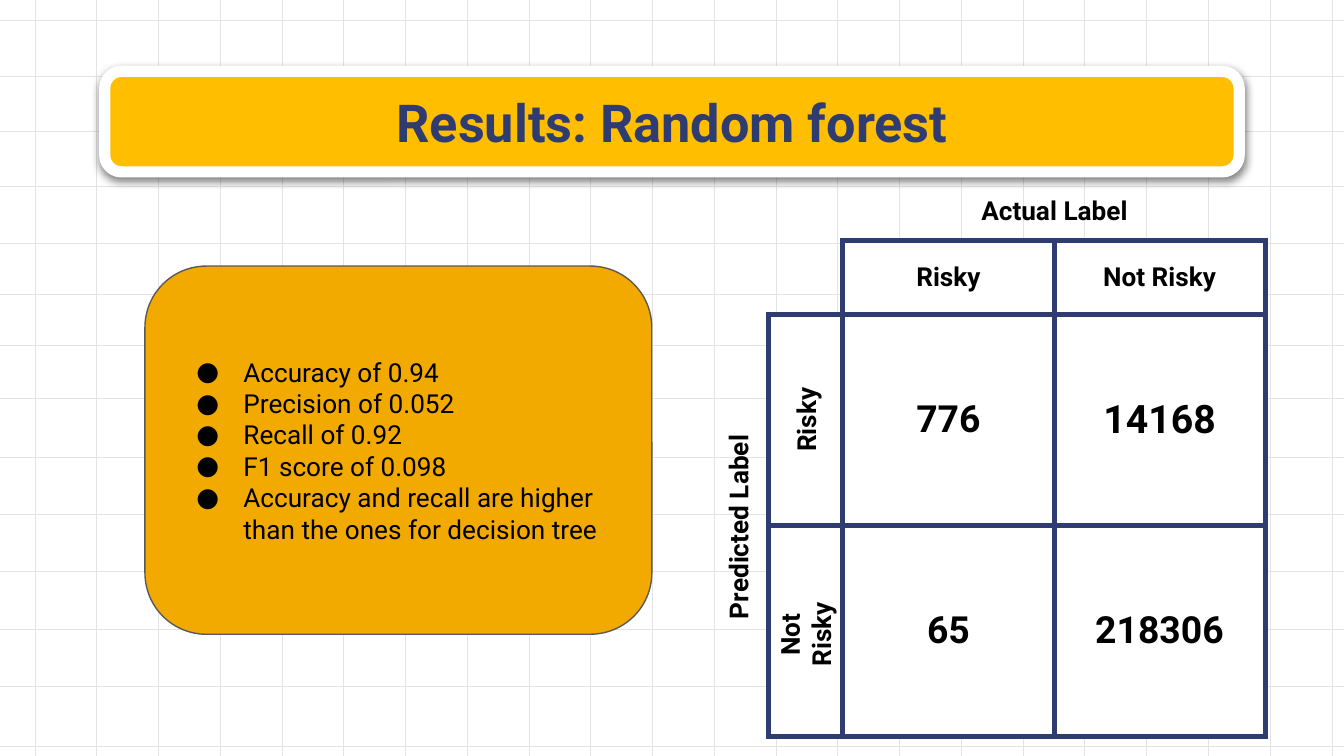
import dataclasses

import lxml.etree
import pptx
import pptx.dml.color
import pptx.enum.shapes
import pptx.enum.text
import pptx.oxml.ns
import pptx.util

Cm, Pt = pptx.util.Cm, pptx.util.Pt
RGB = pptx.dml.color.RGBColor.from_string
qn = pptx.oxml.ns.qn
ALIGN = pptx.enum.text.PP_ALIGN
ANCHOR = pptx.enum.text.MSO_ANCHOR


@dataclasses.dataclass(frozen=True)
class Theme:
    font: str = "Roboto"
    navy: str = "2F3C72"
    yellow: str = "FFBE00"
    amber: str = "F2A900"
    white: str = "FFFFFF"
    black: str = "000000"
    outline: str = "595959"
    grid: str = "E3E3E3"
    title_size: float = 28
    large_size: float = 21
    value_size: float = 20
    text_size: float = 14
    inset: float = 0.25


THEME = Theme()


def add_xml(parent, tag, **attrs):
    return lxml.etree.SubElement(parent, qn(tag), {k: str(v) for k, v in attrs.items()})


def put_text(tf, text, size=THEME.text_size, color=THEME.black, bold=True,
             align=ALIGN.CENTER, anchor=ANCHOR.MIDDLE):
    """Fill a text frame, one paragraph for each line of text."""
    tf.word_wrap = True
    tf.auto_size = pptx.enum.text.MSO_AUTO_SIZE.NONE
    tf.vertical_anchor = anchor
    tf.margin_left = tf.margin_right = tf.margin_top = tf.margin_bottom = Cm(THEME.inset)
    for i, line in enumerate(text.split("\n")):
        p = tf.add_paragraph() if i else tf.paragraphs[0]
        p.alignment = align
        p.line_spacing, p.space_before = 1.0, Pt(0)
        r = p.add_run()
        r.text = line
        r.font.name, r.font.size, r.font.bold = THEME.font, Pt(size), bold
        r.font.color.rgb = RGB(color)


class Deck:
    """Holds the theme and the slide being drawn."""

    def __init__(self, prs, theme):
        self.theme = theme
        self.slide = prs.slides.add_slide(prs.slide_layouts[1])
        self.shapes = self.slide.shapes

    def line(self, x1, y1, x2, y2):
        c = self.shapes.add_connector(pptx.enum.shapes.MSO_CONNECTOR.STRAIGHT,
                                      Cm(x1), Cm(y1), Cm(x2), Cm(y2))
        c.line.color.rgb, c.line.width = RGB(self.theme.grid), Pt(0.35)
        add_xml(c.element.spPr, "a:effectLst")

    def panel(self, x, y, w, h, fill, line, width):
        sp = self.shapes.add_shape(pptx.enum.shapes.MSO_SHAPE.ROUNDED_RECTANGLE,
                                   Cm(x), Cm(y), Cm(w), Cm(h))
        sp.fill.solid()
        sp.fill.fore_color.rgb = RGB(fill)
        sp.line.color.rgb, sp.line.width = RGB(line), Pt(width)
        sp.shadow.inherit = False
        return sp

    def drop_shadow(self, sp):
        effects = sp.element.spPr.find(qn("a:effectLst"))
        shadow = add_xml(effects, "a:outerShdw", blurRad=Pt(4.5), dist=Pt(1.5),
                         dir=5400000, algn="bl", rotWithShape=0)
        color = add_xml(shadow, "a:srgbClr", val=self.theme.black)
        add_xml(color, "a:alpha", val=50000)

    def placeholder(self, idx, x, y, w, h, text, **fmt):
        """Move a template placeholder to the front and fill it."""
        sp = self.slide.placeholders[idx]
        self.shapes.element.append(sp.element)
        sp.left, sp.top, sp.width, sp.height = Cm(x), Cm(y), Cm(w), Cm(h)
        put_text(sp.text_frame, text, **fmt)
        return sp

    def bullets(self, *box, text):
        sp = self.placeholder(1, *box, text, bold=False, align=ALIGN.LEFT)
        for p in sp.text_frame.paragraphs:
            pPr = p._p.get_or_add_pPr()
            pPr.set("marL", str(Cm(1.27)))
            pPr.set("indent", str(Cm(-0.89)))
            add_xml(add_xml(pPr, "a:buClr"), "a:srgbClr", val=self.theme.black)
            add_xml(pPr, "a:buFont", typeface=self.theme.font)
            add_xml(pPr, "a:buChar", char="●")

    def label(self, x, y, w, h, text, rotation=0, **fmt):
        sp = self.shapes.add_textbox(Cm(x), Cm(y), Cm(w), Cm(h))
        sp.rotation = rotation
        put_text(sp.text_frame, text, **fmt)

    def table(self, x, y, col_w, row_h, rows, **fmt):
        """Draw a ruled table; a cell is its text or a (text, size) pair."""
        n_rows, n_cols = len(rows), len(rows[0])
        tbl = self.shapes.add_table(n_rows, n_cols, Cm(x), Cm(y),
                                    Cm(col_w * n_cols), Cm(row_h * n_rows)).table
        for col in tbl.columns:
            col.width = Cm(col_w)
        for row in tbl.rows:
            row.height = Cm(row_h)
        for i, row in enumerate(rows):
            for j, item in enumerate(row):
                text, size = item if isinstance(item, tuple) else (item, self.theme.text_size)
                self.cell(tbl.cell(i, j), text, size)

    def cell(self, cell, text, size):
        cell.margin_left = cell.margin_right = Cm(self.theme.inset)
        cell.margin_top = cell.margin_bottom = Cm(self.theme.inset)
        cell.vertical_anchor = ANCHOR.MIDDLE
        if text:
            p = cell.text_frame.paragraphs[0]
            p.alignment = ALIGN.CENTER
            r = p.add_run()
            r.text = text
            r.font.name, r.font.size, r.font.bold = self.theme.font, Pt(size), True
            r.font.color.rgb = RGB(self.theme.black)
        tcPr = cell._tc.get_or_add_tcPr()
        for side in ("L", "R", "T", "B"):
            ln = add_xml(tcPr, f"a:ln{side}", w=Pt(3))
            add_xml(add_xml(ln, "a:solidFill"), "a:srgbClr", val=self.theme.navy)
        cell.fill.solid()
        cell.fill.fore_color.rgb = RGB(self.theme.white)


def main():
    prs = pptx.Presentation()
    prs.slide_width, prs.slide_height = Cm(25.4), Cm(14.29)
    t = THEME
    deck = Deck(prs, t)

    for y in (0.38, 1.45, 2.49, 3.53, 4.6, 5.56, 6.53, 7.52, 8.64, 9.73,
              10.8, 11.89, 12.98, 14.1):
        deck.line(-0.38, y, 27.03, y)
    for i in range(22):
        x = 0.66 + i * 24.51 / 21
        deck.line(x, -0.84, x, 14.58)

    banner = deck.panel(1.98, 1.35, 21.44, 1.9, t.yellow, t.white, 6)
    deck.drop_shadow(banner)
    deck.placeholder(0, 1.98, 1.5, 21.44, 1.6, "Results: Random forest",
                     size=t.title_size, color=t.navy)

    # Confusion matrix: value cells, with a header strip above and at the left
    left, top, side, strip = 15.93, 5.94, 3.99, 1.4
    deck.table(left, top, side, side, [
        [("776", t.value_size), ("14168", t.large_size)],
        [("65", t.value_size), ("218306", t.value_size)],
    ])
    deck.label(left, 3.43, 8, 1.12, "Actual Label", anchor=ANCHOR.TOP)
    deck.label(9.96, 9.4, 8, 1.12, "Predicted Label", rotation=270, anchor=ANCHOR.TOP)
    deck.table(left, top - strip, side, strip, [["Risky", "Not Risky"]])
    deck.table(left - strip, top, strip, side, [[""], [""]])
    deck.label(14.22, 7.37, 2.01, 1.12, "Risky", rotation=270)
    deck.label(13.92, 11.43, 2.59, 1.12, "Not Risky", rotation=270)

    deck.panel(2.74, 5.03, 9.58, 6.96, t.amber, t.outline, 0.75)
    deck.bullets(3.08, 5.37, 8.9, 6.28, text=(
        "Accuracy of 0.94\n"
        "Precision of 0.052\n"
        "Recall of 0.92\n"
        "F1 score of 0.098\n"
        "Accuracy and recall are higher than the ones for decision tree"))

    prs.save("out.pptx")


if __name__ == "__main__":
    main()
